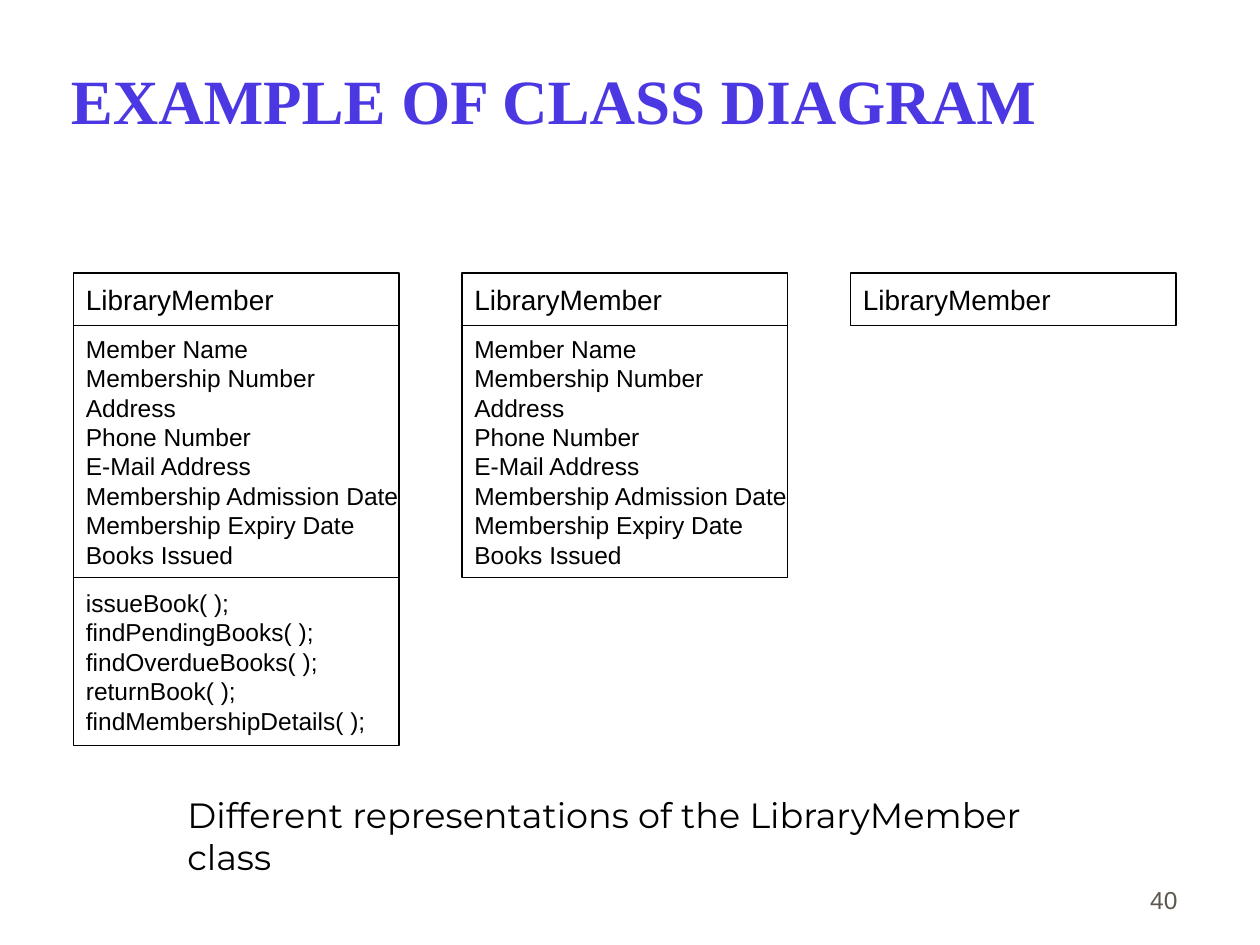
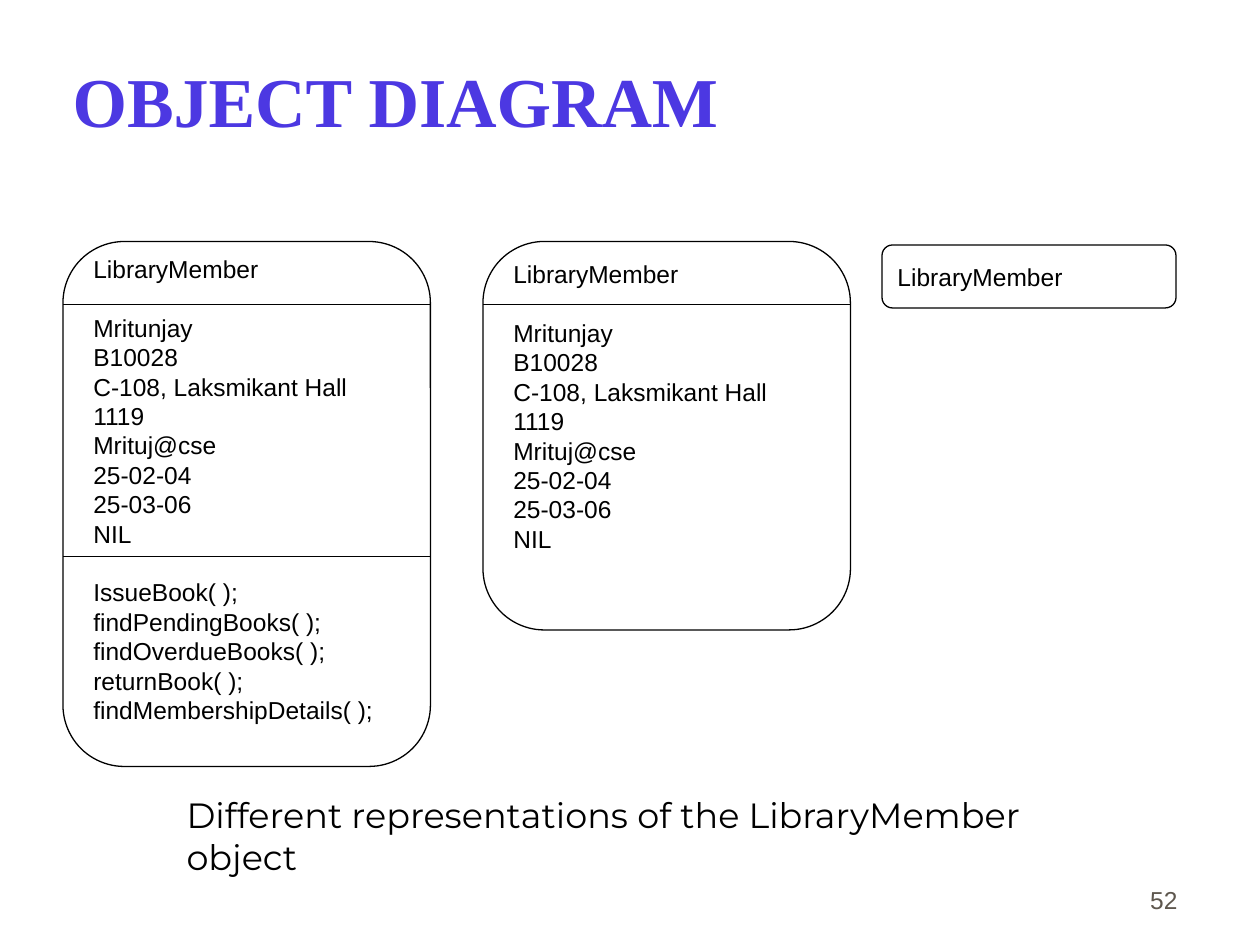
from lxml import etree
from pptx import Presentation
from pptx.dml.color import RGBColor
from pptx.enum import shapes, text
from pptx.oxml.ns import qn
from pptx.util import Pt

BLACK = RGBColor(0x00, 0x00, 0x00)
VIOLET = RGBColor(0x4C, 0x38, 0xE2)
GREY = RGBColor(0x5E, 0x57, 0x4E)
LINE_WIDTH = 0.75
LEADING = 1.2

TITLE = dict(name="Times New Roman", bold=True)
CAPTION = dict(name="Montserrat", size=Pt(20))
LABEL = dict(name="Arial", size=Pt(14))
CLASS_NAME = dict(name="Arial", size=Pt(16))

ATTRIBUTES = ["Member Name", "Membership Number", "Address", "Phone Number",
              "E-Mail Address", "Membership Admission Date",
              "Membership Expiry Date", "Books Issued"]
METHODS = ["findPendingBooks( );", "findOverdueBooks( );", "returnBook( );",
           "findMembershipDetails( );"]
VALUES = ["Mritunjay", "B10028", "C-108, Laksmikant Hall", "1119",
          "Mrituj@cse", "25-02-04", "25-03-06", "NIL"]


def write(sp, blocks, font, color=BLACK, align=text.PP_ALIGN.LEFT,
          anchor=text.MSO_ANCHOR.MIDDLE, wrap=False, **margins):
    tf = sp.text_frame
    frame = dict(word_wrap=wrap, vertical_anchor=anchor,
                 auto_size=text.MSO_AUTO_SIZE.NONE,
                 margin_left=Pt(7.2), margin_right=Pt(7.2),
                 margin_top=Pt(3.6), margin_bottom=Pt(3.6))
    for key, value in {**frame, **margins}.items():
        setattr(tf, key, value)
    leading = Pt(font["size"].pt * LEADING)
    p = None
    for i, block in enumerate(blocks):
        for j, line in enumerate(block):
            p = tf.paragraphs[0] if p is None else tf.add_paragraph()
            gap = leading if i and not j else Pt(0)
            for key, value in dict(alignment=align, line_spacing=leading,
                                   space_before=gap).items():
                setattr(p, key, value)
            r = p.add_run()
            r.text = line
            for key, value in font.items():
                setattr(r.font, key, value)
            r.font.color.rgb = color


def outline(s, kind, x, y, w, h):
    sp = s.shapes.add_shape(kind, Pt(x), Pt(y), Pt(w), Pt(h))
    sp.shadow.inherit = False
    sp.fill.background()
    sp.line.color.rgb = BLACK
    sp.line.width = Pt(LINE_WIDTH)
    return sp


prs = Presentation()
prs.slide_width, prs.slide_height = Pt(720), Pt(540)

pages = [("EXAMPLE OF CLASS DIAGRAM", 36, "class", "40", 100, 516),
         ("OBJECT DIAGRAM", 40, "object", "52", 99.5, 528)]
for title, size, subject, number, x, w in pages:
    s = prs.slides.add_slide(prs.slide_layouts[5])
    sp = s.shapes.title
    sp.left, sp.top, sp.width, sp.height = Pt(30), Pt(12), Pt(612), Pt(90)
    write(sp, [[title]], dict(TITLE, size=Pt(size)), VIOLET, wrap=True,
          margin_left=Pt(1.5 + size / 4), margin_right=Pt(1.5))
    sp = s.shapes.add_textbox(Pt(x), Pt(450), Pt(w), Pt(32))
    write(sp, [[f"Different representations of the LibraryMember {subject}"]],
          CAPTION, anchor=text.MSO_ANCHOR.TOP, wrap=True)
    sp = s.shapes.add_textbox(Pt(530), Pt(490), Pt(150), Pt(36))
    write(sp, [[number]], LABEL, GREY, text.PP_ALIGN.RIGHT,
          text.MSO_ANCHOR.BOTTOM, True)

class_slide, object_slide = prs.slides

compartments = [(["LibraryMember"], CLASS_NAME, 30),
                (ATTRIBUTES, LABEL, 144),
                (["issueBook( );"] + METHODS, LABEL, 96)]
for col in range(3):
    y = 156
    for lines, font, h in compartments[:3 - col]:
        sp = outline(class_slide, shapes.MSO_SHAPE.RECTANGLE,
                     42 + 222 * col, y, 186, h)
        write(sp, [lines], font)
        y += h

name = ["LibraryMember"]
objects = [(36, 138, 210, 300, [name, VALUES, ["IssueBook( );"] + METHODS], 1, [174, 318]),
           (276, 138, 210, 222, [name, VALUES], 2, [174]),
           (504, 140, 168, 36, [name], 0, [])]
for x, y, w, h, blocks, lines_below, dividers in objects:
    sp = outline(object_slide, shapes.MSO_SHAPE.ROUNDED_RECTANGLE, x, y, w, h)
    sp.adjustments[0] = 0.167
    write(sp, blocks, LABEL,
          margin_bottom=Pt(3.6 + lines_below * LABEL["size"].pt * LEADING))
    for line_y in dividers:
        c = object_slide.shapes.add_connector(
            shapes.MSO_CONNECTOR.STRAIGHT, Pt(x), Pt(line_y), Pt(x + w), Pt(line_y))
        c.line.color.rgb = BLACK
        c.line.width = Pt(LINE_WIDTH)
        etree.SubElement(c._element.spPr, qn("a:effectLst"))

prs.save("out.pptx")
